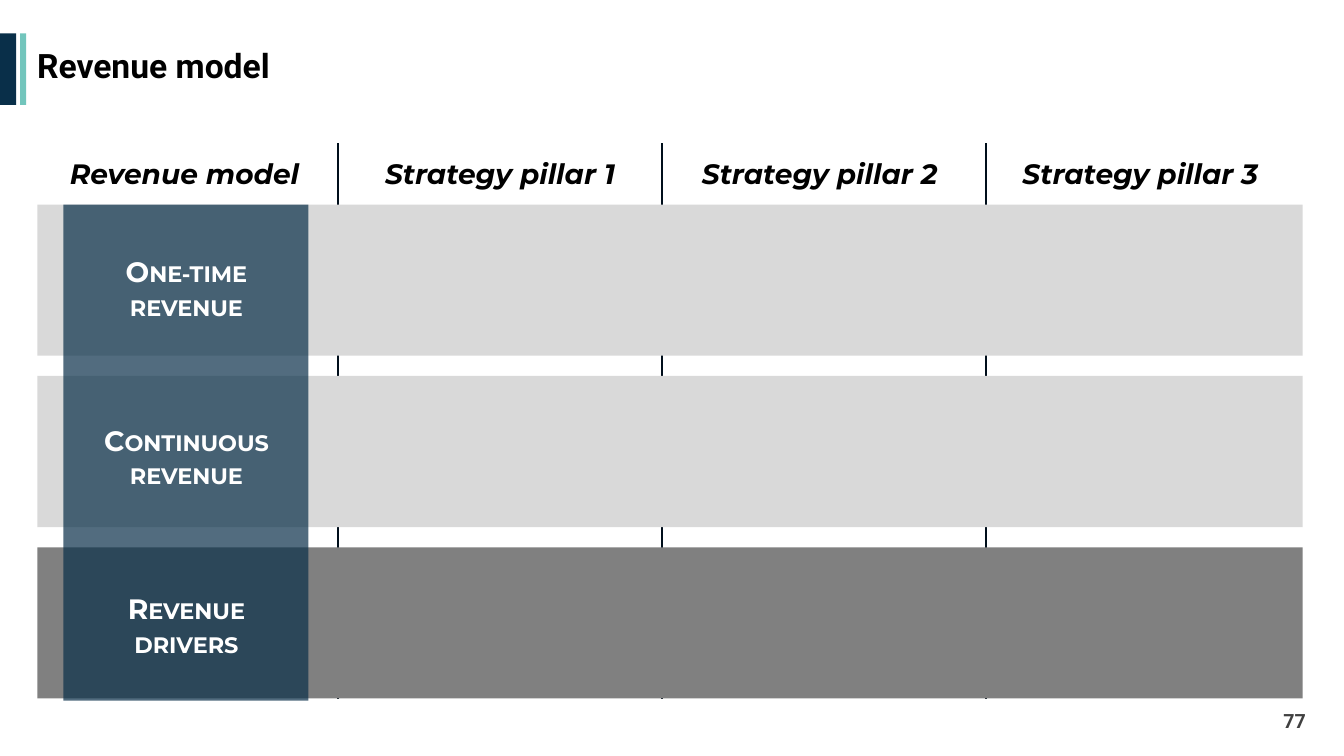
"""Builds the revenue model slide: three revenue bands against three strategy pillars."""
from lxml import etree
from pptx import Presentation, util as u
from pptx.dml.color import RGBColor
from pptx.enum import shapes, text
from pptx.oxml.ns import qn

PX = 9144
COLORS = {"navy": "092F49", "teal": "72C5BC", "rule": "000E1B", "light": "D9D9D9",
          "dark": "808080", "black": "000000", "white": "FFFFFF", "number": "404040"}
ALIGN = text.PP_ALIGN

prs = Presentation()
prs.slide_width, prs.slide_height = 1333 * PX, 750 * PX
s = prs.slides.add_slide(prs.slide_layouts[6])


def add_rect(x, y, w, h, color):
    sp = s.shapes.add_shape(shapes.MSO_SHAPE.RECTANGLE, x * PX, y * PX, w * PX, h * PX)
    sp.shadow.inherit = False
    sp.fill.solid()
    sp.fill.fore_color.rgb = RGBColor.from_string(COLORS[color])
    sp.line.fill.background()
    return sp


def add_text(x, y, w, h, words, size, font, color, align, anchor=text.MSO_ANCHOR.TOP,
             italic=False, small_caps=False):
    tf = s.shapes.add_textbox(x * PX, y * PX, w * PX, h * PX).text_frame
    tf.word_wrap = True
    tf.vertical_anchor = anchor
    tf.text = words
    for p in tf.paragraphs:
        p.alignment = align
        for r in p.runs:
            r.font.name, r.font.size = font, u.Pt(size)
            r.font.bold = True
            r.font.italic = italic
            r.font.color.rgb = RGBColor.from_string(COLORS[color])
            if small_caps:
                r.font._element.set("cap", "small")
    return tf


add_rect(0, 33, 16, 71, "navy")
add_rect(20, 33, 6, 71, "teal")

for x in (335, 657, 978):
    rule = s.shapes.add_connector(shapes.MSO_CONNECTOR.STRAIGHT, x * PX, 142 * PX, x * PX, 693 * PX)
    rule.line.color.rgb = RGBColor.from_string(COLORS["rule"])
    rule.line.width = u.Pt(1.5)
    etree.SubElement(rule._element.spPr, qn("a:effectLst"))

add_text(1005, 695, 300, 40, "77", 14, "Roboto", "number", ALIGN.RIGHT, text.MSO_ANCHOR.MIDDLE)
title = add_text(27, 32, 1277, 71, "Revenue model", 24, "Roboto", "black", ALIGN.LEFT,
                 text.MSO_ANCHOR.MIDDLE)
title.paragraphs[0].line_spacing = 0.9

for row, color in enumerate(("light", "light", "dark")):
    add_rect(37, 203 + 170 * row, 1255, 150, color)

column = add_rect(63, 203, 243, 492, "navy")
tint = column.fill._xPr.find(qn("a:solidFill"))[0]
etree.SubElement(tint, qn("a:alpha"), val="70000")

for row, label in enumerate(("One-time\nrevenue", "Continuous\nrevenue", "Revenue\ndrivers")):
    add_text(70, 248 + 167 * row, 230, 77, label, 20, "Montserrat", "white", ALIGN.CENTER,
             small_caps=True)

headings = {42: "Revenue model", 355: "Strategy pillar 1",
            672: "Strategy pillar 2", 990: "Strategy pillar 3"}
for x, heading in headings.items():
    add_text(x, 150, 282, 44, heading, 20, "Montserrat", "black", ALIGN.CENTER, italic=True)

prs.save("out.pptx")
